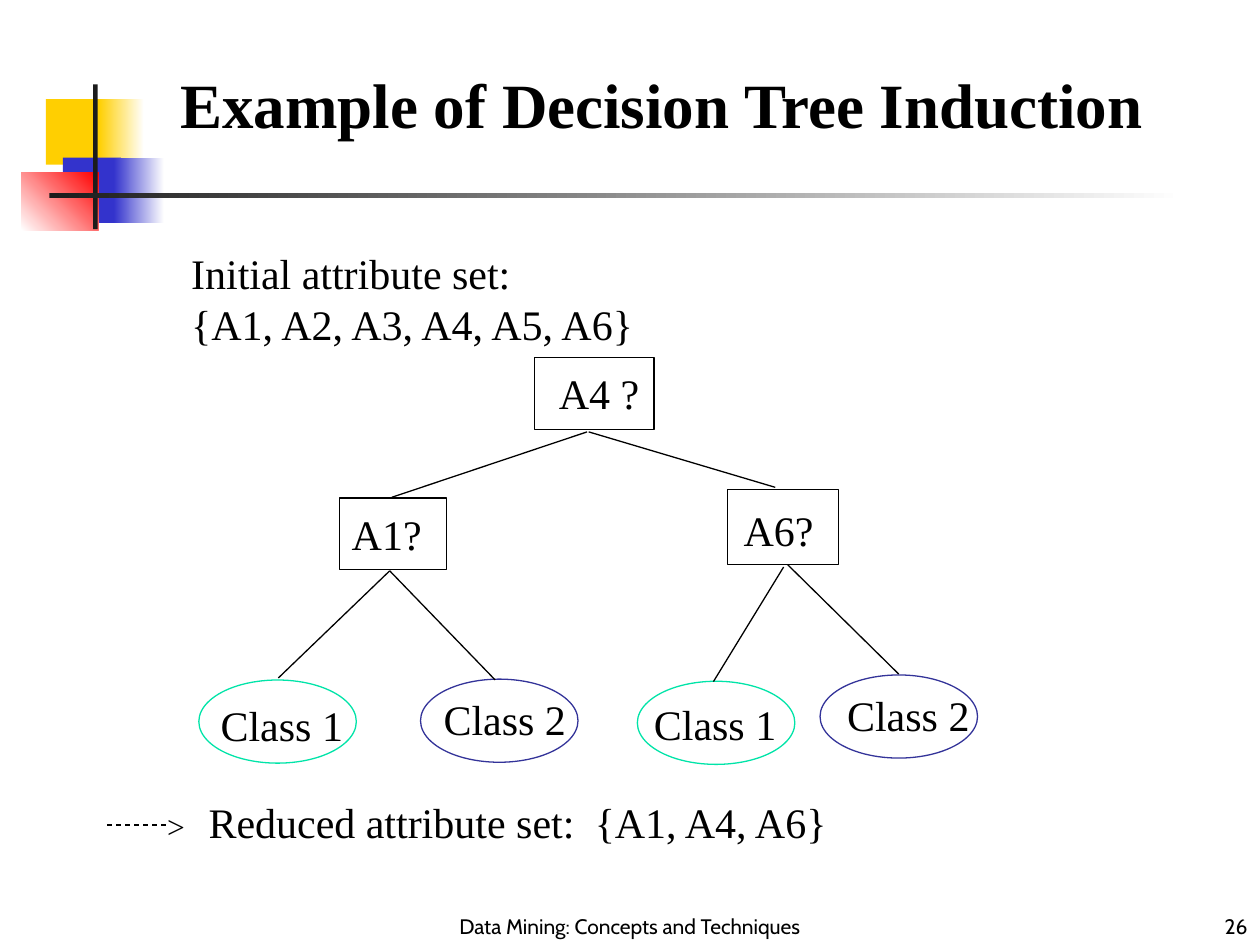
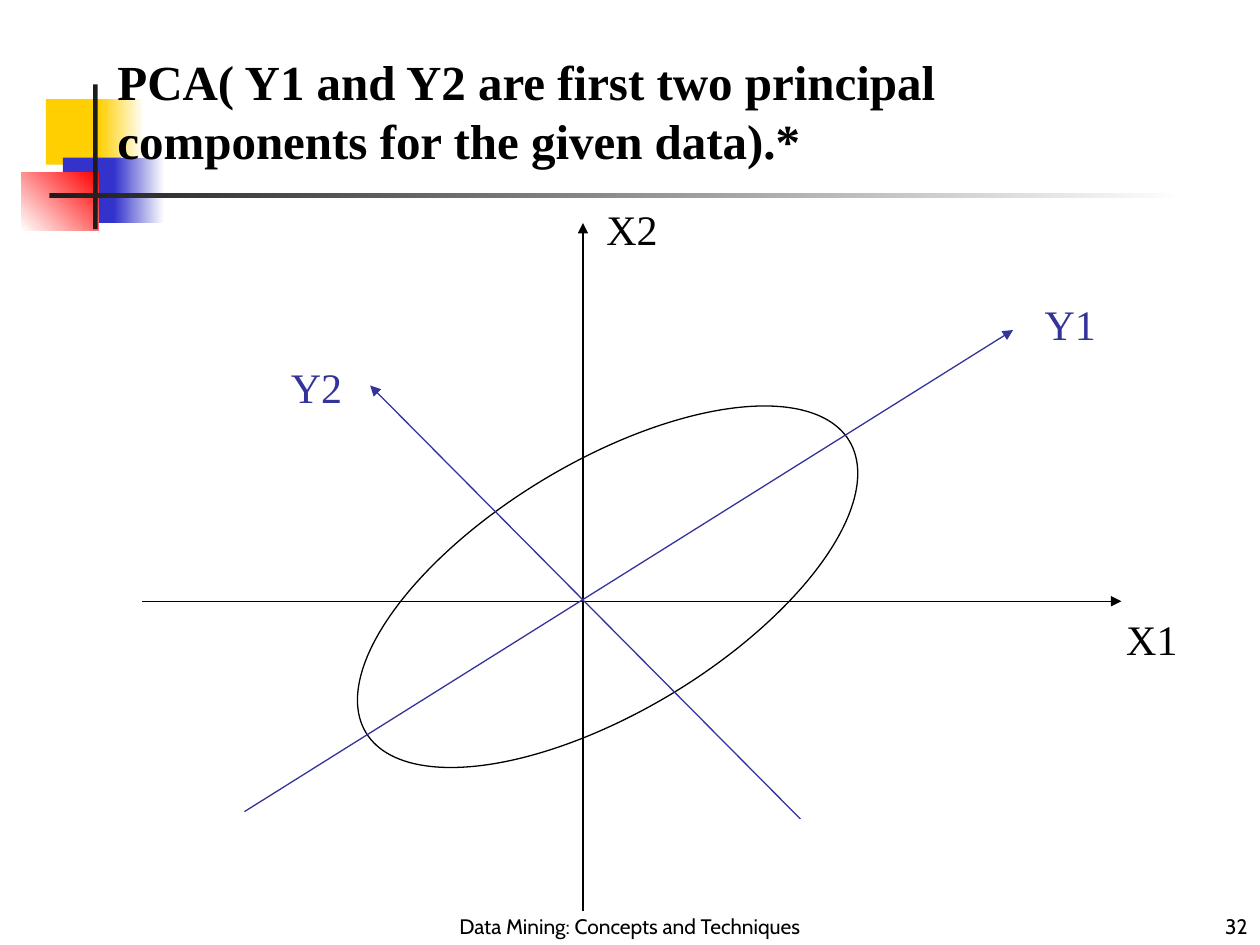
import pptx
import pptx.dml.color
import pptx.enum.dml
import pptx.enum.shapes
import pptx.enum.text
import pptx.util
from lxml import etree
from pptx.oxml.ns import qn

Pt = pptx.util.Pt
SHAPE = pptx.enum.shapes.MSO_SHAPE
ALIGN = pptx.enum.text.PP_ALIGN
ANCHOR = pptx.enum.text.MSO_ANCHOR

# Shared look
SERIF, SANS = "Times New Roman", "Cabin"
BLACK, WHITE, CHARCOAL = "000000", "FFFFFF", "1C1C1C"
GOLD, BLUE, RED = "FFCF01", "3333CC", "FF0000"
INDIGO, MINT = "333399", "00E4A8"
FOOTER = "Data Mining: Concepts and Techniques"
HAIRLINE = 0.75

# Corner ornament: left, top, width, height, colours, gradient angle
ORNAMENT = [
    (26.2, 56.7, 34.6, 37.4, [GOLD], 0),
    (56.5, 56.7, 25.9, 37.4, [GOLD, WHITE], 0),
    (36, 90, 33.1, 37.4, [BLUE], 0),
    (65, 90, 28.8, 37.4, [BLUE, WHITE], 0),
    (12.2, 98.6, 43.9, 33.1, [WHITE, RED], 45),
    (53.3, 48.2, 2.5, 82.8, [CHARCOAL], 0),
    (28.3, 110.4, 648, 2.6, [CHARCOAL, WHITE], 0),
]

# Decision tree: outline box, label, label box
QUESTIONS = [
    ((305.3, 204.5, 68.4, 41), "A4 ?", (312.3, 206.2, 69.8, 36)),
    ((193.9, 284.6, 61.2, 41), "A1?", (193.9, 287, 62, 36)),
    ((415.8, 279.6, 63.4, 43.2), "A6?", (417.8, 284.7, 62, 36)),
]
# Leaves: ellipse left and top, label, label left and top, colour
LEAVES = [
    ((113.6, 388.6), "Class 1", (119, 396.2), MINT),
    ((240.3, 388.1), "Class 2", (246.4, 392.8), INDIGO),
    ((364.2, 389.3), "Class 1", (366.6, 395.6), MINT),
    ((468.6, 385.7), "Class 2", (477, 390.5), INDIGO),
]
BRANCHES = [
    ((335.5, 246.8), (223.9, 284.2)),
    ((336.4, 246.8), (443, 278.5)),
    ((222.7, 326.2), (159.1, 387.4)),
    ((222.7, 326.2), (283, 388.6)),
    ((447.8, 324), (407.7, 389.5)),
    ((450, 322.6), (513.6, 385.2)),
]

# Principal components: from, to, colour, axis name, name left and top
AXES = [
    ((81.4, 343.6), (640.8, 343.6), BLACK, "X1", (636.5, 347)),
    ((333.1, 520.6), (333.1, 127.4), BLACK, "X2", (339.4, 113)),
    ((139.7, 463.8), (578.9, 188.6), INDIGO, "Y1", (589.9, 167)),
    ((457.4, 468), (211.5, 220.3), INDIGO, "Y2", (159.1, 203)),
]


def colour(hex_code):
    return pptx.dml.color.RGBColor.from_string(hex_code)


def add_block(page, left, top, width, height, colours, angle):
    """Borderless rectangle in one colour or a two-colour gradient."""
    block = page.shapes.add_shape(SHAPE.RECTANGLE, Pt(left), Pt(top), Pt(width), Pt(height))
    block.shadow.inherit = False
    block.line.fill.background()
    if len(colours) == 1:
        block.fill.solid()
        block.fill.fore_color.rgb = colour(colours[0])
        return
    block.fill.gradient()
    block.fill.gradient_angle = angle
    for stop, shade in zip(block.fill.gradient_stops, colours):
        stop.color.rgb = colour(shade)


def add_outline(page, kind, left, top, width, height, shade=BLACK, rotation=0):
    outline = page.shapes.add_shape(kind, Pt(left), Pt(top), Pt(width), Pt(height))
    outline.shadow.inherit = False
    outline.fill.background()
    outline.line.color.rgb = colour(shade)
    outline.line.width = Pt(HAIRLINE)
    outline.rotation = rotation


def add_line(page, start, end, shade=BLACK, arrow=False, dashed=False):
    line = page.shapes.add_connector(
        pptx.enum.shapes.MSO_CONNECTOR.STRAIGHT, *(Pt(value) for value in start + end))
    line.line.color.rgb = colour(shade)
    line.line.width = Pt(HAIRLINE)
    if dashed:
        line.line.dash_style = pptx.enum.dml.MSO_LINE.DASH
    properties = line._element.spPr
    if arrow:
        etree.SubElement(properties.find(qn("a:ln")), qn("a:tailEnd"), type="triangle")
    etree.SubElement(properties, qn("a:effectLst"))


def add_text(page, left, top, width, height, *lines, size=24, font=SERIF, shade=BLACK,
             bold=False, align=ALIGN.LEFT, anchor=ANCHOR.TOP, wrap=True, tab=None):
    """Text box with one paragraph per line and an optional tab stop."""
    box = page.shapes.add_textbox(Pt(left), Pt(top), Pt(width), Pt(height))
    frame = box.text_frame
    frame.word_wrap = wrap
    frame.vertical_anchor = anchor
    for index, line in enumerate(lines):
        para = frame.add_paragraph() if index else frame.paragraphs[0]
        para.alignment = align
        if tab:
            stops = etree.SubElement(para._p.get_or_add_pPr(), qn("a:tabLst"))
            etree.SubElement(stops, qn("a:tab"), pos=str(Pt(tab)), algn="l")
        span = para.add_run()
        span.text = line
        span.font.name = font
        span.font.size = Pt(size)
        span.font.bold = bold
        span.font.color.rgb = colour(shade)


def add_page(deck, number, title, title_box, title_size):
    """Blank page with the ornament, footer, number and title."""
    page = deck.slides.add_slide(deck.slide_layouts[6])
    for block in ORNAMENT:
        add_block(page, *block)
    small = dict(size=12, font=SANS, anchor=ANCHOR.BOTTOM)
    add_text(page, 246, 510, 228, 30, FOOTER, align=ALIGN.CENTER, **small)
    add_text(page, 570, 510, 150, 30, str(number), align=ALIGN.RIGHT, **small)
    add_text(page, *title_box, title, size=title_size, bold=True)
    return page


def build_tree(deck):
    page = add_page(deck, 26, "Example of Decision Tree Induction", (96, 34, 606, 50.4), 36)
    add_text(page, 102.2, 138, 273.6, 65, "Initial attribute set:",
             "{A1, A2, A3, A4, A5, A6}", wrap=False)
    # Nodes and branches
    for outline, label, label_box in QUESTIONS:
        add_outline(page, SHAPE.RECTANGLE, *outline)
        add_text(page, *label_box, label)
    for corner, label, label_corner, shade in LEAVES:
        add_outline(page, SHAPE.OVAL, *corner, 90, 47.5, shade)
        add_text(page, *label_corner, 84.2, 36, label, wrap=False)
    for start, end in BRANCHES:
        add_line(page, start, end)
    # Result
    add_line(page, (61.2, 471.4), (95.8, 471.4), dashed=True)
    add_text(page, 88.4, 457.4, 24.5, 28.8, ">", size=18, wrap=False)
    add_text(page, 112.1, 451.7, 380, 36, "Reduced attribute set:\t{A1, A4, A6}", tab=220.7)


def build_components(deck):
    title = "PCA( Y1 and Y2 are first two principal components for the given data).*"
    page = add_page(deck, 32, title, (60, 26, 594, 75), 28)
    add_outline(page, SHAPE.OVAL, 185.9, 264, 322.6, 142.6, rotation=328.9)
    for start, end, shade, name, corner in AXES:
        add_line(page, start, end, shade, arrow=True)
        add_text(page, *corner, 44, 36, name, shade=shade)


def main():
    deck = pptx.Presentation()
    deck.slide_width, deck.slide_height = Pt(720), Pt(540)
    build_tree(deck)
    build_components(deck)
    deck.save("out.pptx")


if __name__ == "__main__":
    main()
